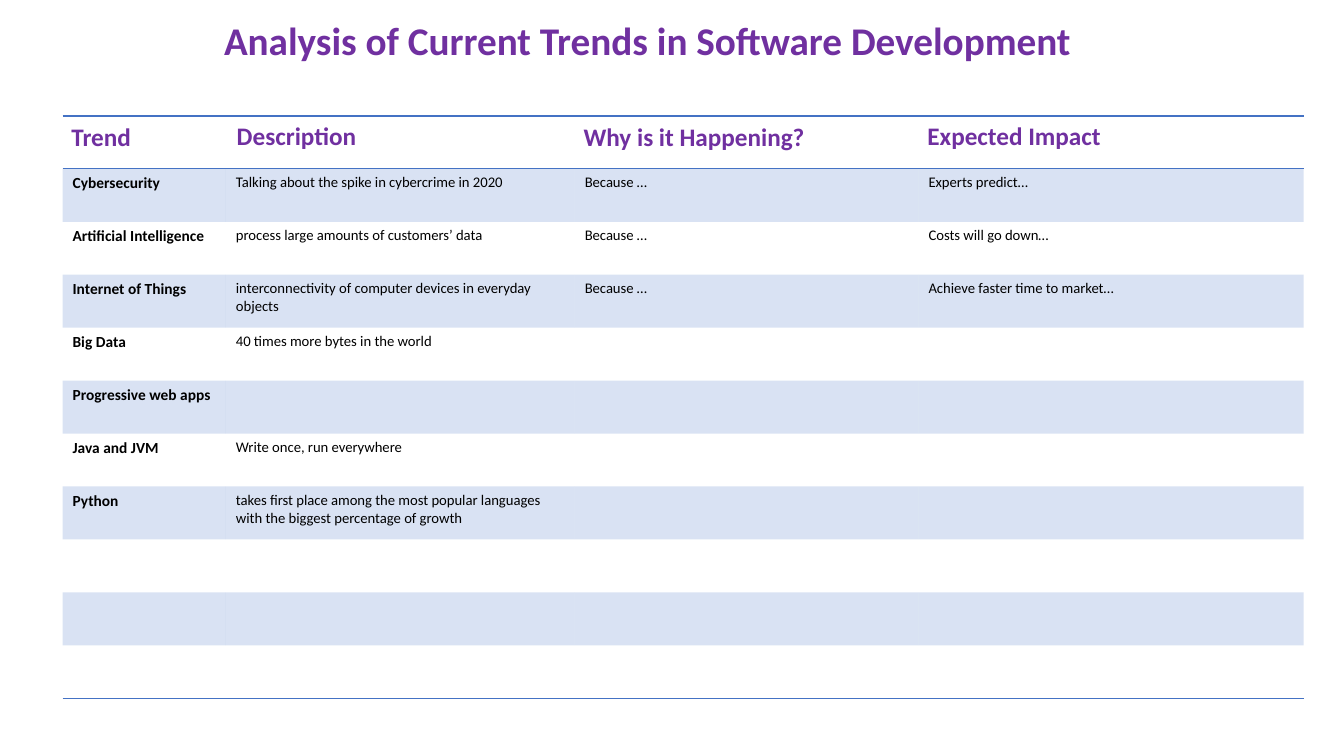
from pptx import Presentation
from pptx.dml.color import RGBColor
from pptx.enum.text import MSO_ANCHOR, PP_ALIGN
from pptx.oxml import parse_xml
from pptx.oxml.ns import nsdecls, qn
from pptx.util import Inches, Pt

TITLE = "Analysis of Current Trends in Software Development"
HEADS = [
    ("Trend", 0.61, 1.15, 1.24),
    ("Description", 2.25, 1.14, 1.54),
    ("Why is it Happening?", 5.69, 1.15, 2.74),
    ("Expected Impact", 9.1, 1.14, 2.42),
]
TRENDS = [
    ("Cybersecurity", "Talking about the spike in cybercrime in 2020",
     "Because …", "Experts predict…"),
    ("Artificial Intelligence", "process large amounts of customers’ data",
     "Because …", "Costs will go down…"),
    ("Internet of Things",
     "interconnectivity of computer devices in everyday objects",
     "Because …", "Achieve faster time to market…"),
    ("Big Data", "40 times more bytes in the world"),
    ("Progressive web apps",),
    ("Java and JVM", "Write once, run everywhere"),
    ("Python", "takes first place among the most popular languages "
               "with the biggest percentage of growth"),
]
WIDTHS = [1.62, 3.46, 3.41, 3.82]
ROWS = 11
HEIGHT = 5.78
PURPLE, BLUE, BLACK = "7030A0", "4472C4", "000000"
FONT = "Calibri"
PLAIN = "{2D5ABB26-0587-4C30-8999-92F81FD0307C}"


def color(code):
    return RGBColor.from_string(code)


def write(frame, text, size, code, bold):
    run = frame.paragraphs[0].add_run()
    run.text = text
    font = run.font
    font.name, font.size, font.bold = FONT, Pt(size), bold
    font.color.rgb = color(code)


def border(cell, side):
    cell._tc.get_or_add_tcPr().append(parse_xml(
        f'<a:{side} {nsdecls("a")} w="12700"><a:solidFill>'
        f'<a:srgbClr val="{BLUE}"/></a:solidFill></a:{side}>'))


def tint(cell):
    cell.fill.solid()
    cell.fill.fore_color.rgb = color(BLUE)
    shade = cell._tc.tcPr.find(qn("a:solidFill"))[0]
    shade.append(parse_xml(f'<a:alpha {nsdecls("a")} val="20000"/>'))


def add_title(slide):
    title = slide.shapes.title
    title.left, title.top = Inches(0.92), Inches(0.11)
    title.width, title.height = Inches(11), Inches(0.57)
    frame = title.text_frame
    frame.word_wrap = True
    frame.vertical_anchor = MSO_ANCHOR.TOP
    frame.paragraphs[0].alignment = PP_ALIGN.CENTER
    write(frame, TITLE, 28, PURPLE, True)


def add_heads(slide):
    for text, left, top, width in HEADS:
        box = slide.shapes.add_textbox(
            Inches(left), Inches(top), Inches(width), Inches(0.4))
        box.text_frame.word_wrap = True
        write(box.text_frame, text, 18, PURPLE, True)


def add_grid(slide):
    table = slide.shapes.add_table(
        ROWS, len(WIDTHS), Inches(0.62), Inches(1.15),
        Inches(sum(WIDTHS)), Inches(HEIGHT)).table
    table.horz_banding = False
    table._tbl.tblPr.find(qn("a:tableStyleId")).text = PLAIN
    for column, width in zip(table.columns, WIDTHS):
        column.width = Inches(width)
    for index, row in enumerate(table.rows):
        row.height = Inches(HEIGHT / ROWS)
        for cell in row.cells:
            if index == 0:
                border(cell, "lnT")
            if index in (0, ROWS - 1):
                border(cell, "lnB")
            if index % 2:
                tint(cell)
    for index, trend in enumerate(TRENDS, 1):
        for place, text in enumerate(trend):
            first = place == 0
            write(table.cell(index, place).text_frame, text,
                  11 if first else 10.5, BLACK, first)


def main():
    deck = Presentation()
    deck.slide_width, deck.slide_height = Inches(13.33), Inches(7.5)
    slide = deck.slides.add_slide(deck.slide_layouts[5])
    add_title(slide)
    add_heads(slide)
    add_grid(slide)
    deck.save("out.pptx")


if __name__ == "__main__":
    main()
